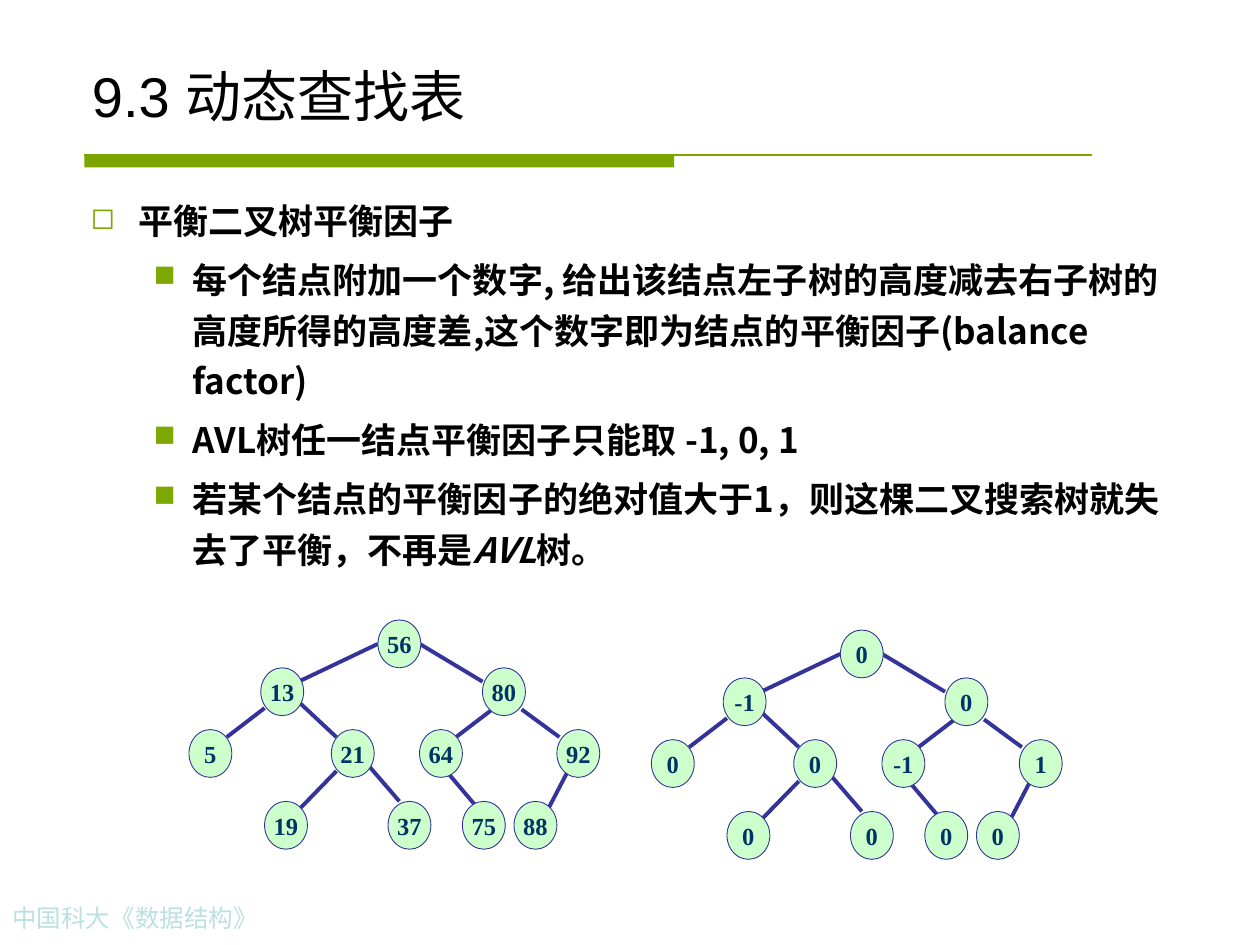
import pptx
import pptx.dml.color
import pptx.enum.shapes
import pptx.enum.text
import pptx.oxml.ns
import pptx.util
from lxml import etree

Inches = pptx.util.Inches
Pt = pptx.util.Pt
ALIGN = pptx.enum.text.PP_ALIGN
ANCHOR = pptx.enum.text.MSO_ANCHOR
SHAPE = pptx.enum.shapes.MSO_SHAPE
HAN = "Noto Sans CJK SC"
SERIF = "Times New Roman"
GREEN, NAVY = "7BA600", "333399"
NODE_W, NODE_H = 0.34, 0.38

# Bullet list: level, then runs; the odd runs are italic
POINTS = [
    (0, ["平衡二叉树平衡因子"]),
    (1, ["每个结点附加一个数字, 给出该结点左子树的高度减去右子树的高度所得的高度差,"
         "这个数字即为结点的平衡因子(balance  factor)"]),
    (1, ["AVL树任一结点平衡因子只能取 -1, 0, 1"]),
    (1, ["若某个结点的平衡因子的绝对值大于1，则这棵二叉搜索树就失去了平衡，不再是",
         "AVL", "树。"]),
]

# Tree nodes: left, top, key, balance factor
NODES = [
    (3, 4.92, "56", "0"),
    (2.07, 5.3, "13", "-1"), (3.83, 5.3, "80", "0"),
    (1.5, 5.79, "5", "0"), (2.63, 5.79, "21", "0"),
    (3.33, 5.79, "64", "-1"), (4.42, 5.79, "92", "1"),
    (2.1, 6.36, "19", "0"), (3.08, 6.36, "37", "0"),
    (3.67, 6.36, "75", "0"), (4.08, 6.36, "88", "0"),
]

# Tree edges: from x, y to x, y
EDGES = [
    (3, 5.11, 2.37, 5.41), (3.33, 5.11, 3.83, 5.41),
    (2.1, 5.62, 1.8, 5.85), (2.37, 5.57, 2.67, 5.85),
    (3.96, 5.59, 3.58, 5.88), (4.14, 5.63, 4.44, 5.85),
    (2.67, 6.12, 2.3, 6.5), (2.92, 6.07, 3.17, 6.36),
    (3.5, 6.07, 3.83, 6.46), (4.58, 5.98, 4.33, 6.46),
]


def paint(code):
    return pptx.dml.color.RGBColor.from_string(code)


def add_tag(node, name, **attrs):
    return etree.SubElement(node, pptx.oxml.ns.qn(name), attrs)


def style(para, size, font, color, bold=False):
    for run in para.runs:
        run.font.size = Pt(size)
        run.font.bold = bold
        run.font.color.rgb = paint(color)
        run.font.name = font
        add_tag(run._r.get_or_add_rPr(), "a:ea", typeface=HAN)


def add_line(slide, start, end, color, width):
    line = slide.shapes.add_connector(
        pptx.enum.shapes.MSO_CONNECTOR.STRAIGHT,
        *(Inches(v) for v in (*start, *end)))
    line.line.color.rgb = paint(color)
    line.line.width = Pt(width)
    add_tag(line._element.spPr, "a:effectLst")


def add_shape(slide, kind, box, fill, edge, width):
    shape = slide.shapes.add_shape(kind, *(Inches(v) for v in box))
    shape.shadow.inherit = False
    shape.fill.solid()
    shape.fill.fore_color.rgb = paint(fill)
    shape.line.color.rgb = paint(edge)
    shape.line.width = Pt(width)
    return shape


def add_box(slide, *box):
    frame = slide.shapes.add_textbox(*(Inches(v) for v in box)).text_frame
    frame.word_wrap = True
    return frame


def add_title(slide, text):
    title = slide.shapes.title
    title.left, title.top = Inches(0.63), Inches(0.33)
    title.width, title.height = Inches(8.75), Inches(0.74)
    frame = title.text_frame
    frame.text = text
    frame.vertical_anchor = ANCHOR.BOTTOM
    para = frame.paragraphs[0]
    para.alignment = ALIGN.LEFT
    style(para, 32, "Arial", "000000")


def add_rule(slide):
    bar = add_shape(slide, SHAPE.RECTANGLE, (0.67, 1.23, 4.68, 0.1),
                    GREEN, GREEN, 0.75)
    bar.line.fill.background()
    add_line(slide, (0.67, 1.23), (8.67, 1.23), GREEN, 0.75)


def set_bullet(para, level):
    left, hang, mark = [(0.38, 0.38, "◻"), (0.81, 0.31, "■")][level]
    para.level = level
    props = para._p.get_or_add_pPr()
    props.set("marL", str(Inches(left)))
    props.set("indent", str(-Inches(hang)))
    add_tag(add_tag(props, "a:buClr"), "a:srgbClr", val="7CA800")
    add_tag(props, "a:buSzPct", val="85000")
    add_tag(props, "a:buChar", char=mark)


def add_list(slide):
    frame = add_box(slide, 0.62, 1.47, 8.75, 3.37)
    for i, (level, parts) in enumerate(POINTS):
        para = frame.add_paragraph() if i else frame.paragraphs[0]
        set_bullet(para, level)
        para.line_spacing = 1.2
        if i:
            para.space_before = Pt(5)
        for j, part in enumerate(parts):
            run = para.add_run()
            run.text = part
            run.font.italic = j % 2 == 1
        style(para, 20, HAN, "000000", True)


def add_node(slide, left, top, text):
    node = add_shape(slide, SHAPE.OVAL, (left, top, NODE_W, NODE_H),
                     "CCFFCC", NAVY, 0.5)
    frame = node.text_frame
    frame.text = text
    frame.word_wrap = False
    frame.vertical_anchor = ANCHOR.MIDDLE
    para = frame.paragraphs[0]
    para.alignment = ALIGN.CENTER
    style(para, 14, SERIF, "003366", True)


def add_tree(slide, dx, dy, label):
    for x1, y1, x2, y2 in EDGES:
        add_line(slide, (x1 + dx, y1 + dy), (x2 + dx, y2 + dy), NAVY, 2.25)
    for left, top, *texts in NODES:
        add_node(slide, left + dx, top + dy, texts[label])


def add_foot(slide, text):
    frame = add_box(slide, 0, 7.12, 3.11, 0.34)
    frame.text = text
    style(frame.paragraphs[0], 14, SERIF, "BBE0E3")


def main():
    deck = pptx.Presentation()
    deck.slide_width, deck.slide_height = Inches(10), Inches(7.5)
    slide = deck.slides.add_slide(deck.slide_layouts[5])
    add_rule(slide)
    add_foot(slide, "中国科大《数据结构》")
    add_title(slide, "9.3 动态查找表")
    add_list(slide)
    # Keys on the left, balance factors on the right
    add_tree(slide, 0, 0, 0)
    add_tree(slide, 3.67, 0.08, 1)
    deck.save("out.pptx")


if __name__ == "__main__":
    main()
